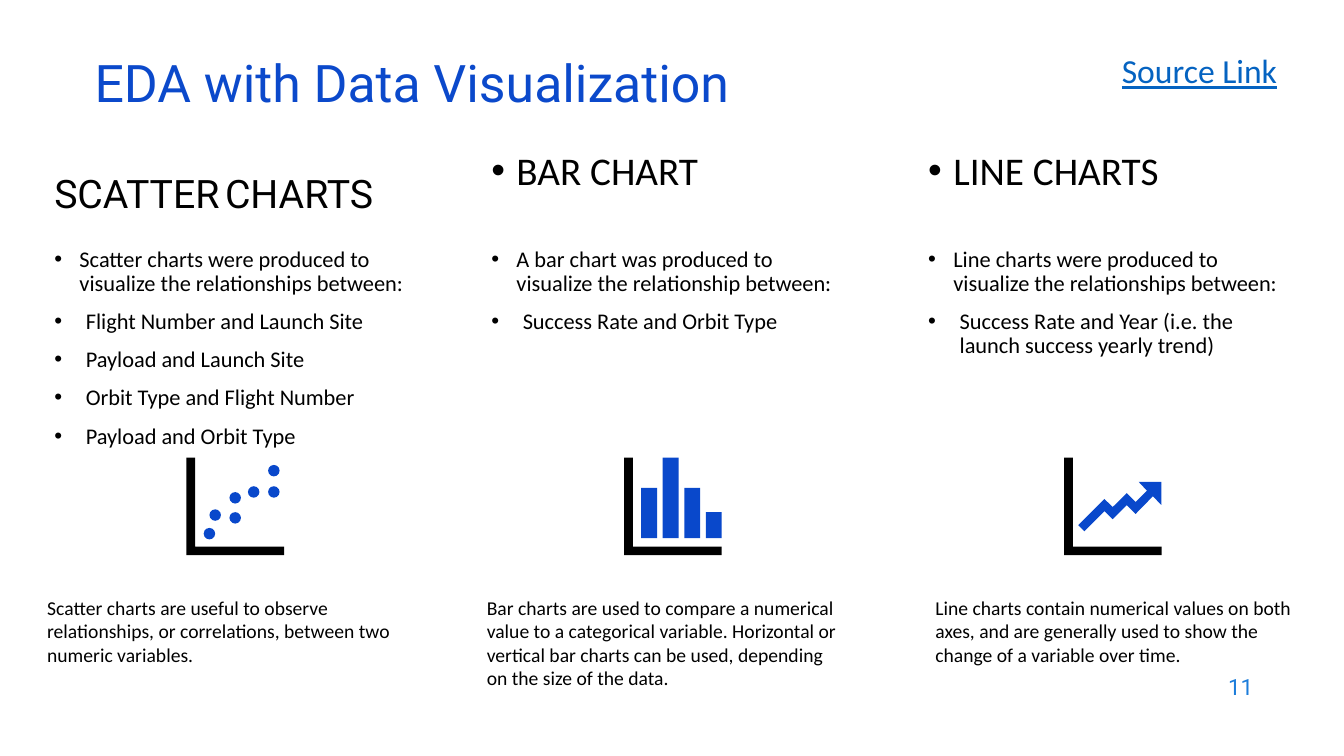
from dataclasses import dataclass

from lxml import etree
from pptx import Presentation
from pptx.dml.color import RGBColor
from pptx.enum import shapes, text
from pptx.oxml.ns import qn
from pptx.util import Pt

BLACK = RGBColor(0x00, 0x00, 0x00)
TITLE_BLUE = RGBColor(0x0B, 0x49, 0xCB)
ICON_BLUE = RGBColor(0x09, 0x48, 0xCB)
LINK_BLUE = RGBColor(0x05, 0x63, 0xC1)
NUMBER_BLUE = RGBColor(0x1C, 0x7D, 0xDB)

COLUMN_LEFT, COLUMN_STEP, COLUMN_WIDTH = 31.7, 312.1, 272.2
ICON_TOP, ICON_SIZE, AXIS_WIDTH = 326.9, 69.7, 6.2
DOT_SIZE = 8.2
DOTS = [(12.3, 50.2), (16.4, 36.9), (30.7, 38.9), (30.7, 24.6),
        (43.9, 20.4), (58.3, 20.4), (58.3, 5.2)]
BAR_LEFT, BAR_STEP, BAR_WIDTH, BAR_BASE = 12.2, 15.4, 11.4, 57.5
BAR_HEIGHTS = [35.9, 57.5, 35.9, 18.6]
TREND_ARROW = [(53.3, 17.3), (59.2, 23.6), (51.1, 31.7), (44.8, 25.3), (34.7, 35.3),
               (28.8, 29.5), (10.1, 48.2), (14.5, 52.6), (28.8, 38.2), (34.7, 44),
               (44.8, 33.9), (51.1, 40.2), (63.4, 27.6), (69.5, 33.8), (69.5, 17.3)]


@dataclass
class Column:
    heading: str
    intro: str
    items: list[str]
    caption: str
    caption_left: float
    icon_left: float


COLUMNS = [
    Column("SCATTER CHARTS",
           "Scatter charts were produced to visualize the relationships between:",
           ["Flight Number and Launch Site", "Payload and Launch Site",
            "Orbit Type and Flight Number", "Payload and Orbit Type"],
           "Scatter charts are useful to observe relationships, or correlations, "
           "between two numeric variables.", 26.6, 133.2),
    Column("BAR CHART",
           "A bar chart was produced to visualize the relationship between:",
           ["Success Rate and Orbit Type"],
           "Bar charts are used to compare a numerical value to a categorical variable. "
           "Horizontal or vertical bar charts can be used, depending on the size of the data.",
           340.6, 445.8),
    Column("LINE CHARTS",
           "Line charts were produced to visualize the relationships between:",
           ["Success Rate and Year (i.e. the launch success yearly trend)"],
           "Line charts contain numerical values on both axes, and are generally used "
           "to show the change of a variable over time.", 661, 760.1),
]


def add_text(s, lines: list[str], left: float, top: float, width: float, height: float,
             size: float, font: str = "Calibri", color: RGBColor = BLACK,
             anchor=text.MSO_ANCHOR.TOP):
    tf = s.shapes.add_textbox(Pt(left), Pt(top), Pt(width), Pt(height)).text_frame
    tf.word_wrap = True
    tf.vertical_anchor = anchor
    tf.text = "\n".join(lines)
    for p in tf.paragraphs:
        for r in p.runs:
            r.font.size, r.font.name = Pt(size), font
            r.font.color.rgb = color
    return tf


def add_bullets(tf) -> None:
    """Bullet every paragraph, with a deeper hanging indent after the first."""
    for i, p in enumerate(tf.paragraphs):
        indent = Pt(22.5 if i else 18)
        pPr = p._p.get_or_add_pPr()
        pPr.set("marL", str(indent))
        pPr.set("indent", str(-indent))
        etree.SubElement(pPr, qn("a:buFont")).set("typeface", "Arial")
        etree.SubElement(pPr, qn("a:buChar")).set("char", "•")
        p.line_spacing = 0.9
        if i:
            p.space_before = Pt(10)


def paint(sp, color: RGBColor) -> None:
    sp.shadow.inherit = False
    sp.fill.solid()
    sp.fill.fore_color.rgb = color
    sp.line.fill.background()


def add_polygon(s, points: list[tuple[float, float]], left: float, color: RGBColor) -> None:
    """Draw a closed outline whose points are relative to an icon's corner."""
    corners = [(Pt(left + x), Pt(ICON_TOP + y)) for x, y in points]
    builder = s.shapes.build_freeform(*corners[0])
    builder.add_line_segments(corners[1:], close=True)
    paint(builder.convert_to_shape(), color)


def add_mark(s, kind, left: float, top: float, width: float, height: float) -> None:
    paint(s.shapes.add_shape(kind, Pt(left), Pt(top), Pt(width), Pt(height)), ICON_BLUE)


def draw_dots(s, left: float) -> None:
    for x, y in DOTS:
        add_mark(s, shapes.MSO_SHAPE.OVAL, left + x, ICON_TOP + y, DOT_SIZE, DOT_SIZE)


def draw_bars(s, left: float) -> None:
    for i, height in enumerate(BAR_HEIGHTS):
        add_mark(s, shapes.MSO_SHAPE.RECTANGLE, left + BAR_LEFT + i * BAR_STEP,
                 ICON_TOP + BAR_BASE - height, BAR_WIDTH, height)


def draw_trend(s, left: float) -> None:
    add_polygon(s, TREND_ARROW, left, ICON_BLUE)


def draw_axes(s, left: float) -> None:
    inner = ICON_SIZE - AXIS_WIDTH
    add_polygon(s, [(AXIS_WIDTH, 0), (0, 0), (0, ICON_SIZE), (ICON_SIZE, ICON_SIZE),
                    (ICON_SIZE, inner), (AXIS_WIDTH, inner)], left, BLACK)


def add_heading(s, column: Column, left: float, plain: bool) -> None:
    """Write a column heading; the plain one is unbulleted with a narrow space."""
    box = (left, 104.4, COLUMN_WIDTH, 66.2, 28)
    if not plain:
        add_bullets(add_text(s, [column.heading], *box))
        return
    first, second = column.heading.split()
    tf = add_text(s, [first], *box, "Roboto", anchor=text.MSO_ANCHOR.MIDDLE)
    for part, size in ((" ", 16), (second, 28)):
        r = tf.paragraphs[0].add_run()
        r.text = part
        r.font.size, r.font.name = Pt(size), "Roboto"
        r.font.color.rgb = BLACK


def main() -> None:
    prs = Presentation()
    prs.slide_width, prs.slide_height = Pt(960), Pt(540)
    s = prs.slides.add_slide(prs.slide_layouts[6])

    title = add_text(s, ["EDA with Data Visualization"], 60.5, 42.5, 828, 43.2, 37,
                     "Roboto", TITLE_BLUE, text.MSO_ANCHOR.MIDDLE)
    title.paragraphs[0].line_spacing = 0.7
    link = add_text(s, ["Source Link"], 794.2, 32.4, 128.9, 36, 24, color=LINK_BLUE)
    link.word_wrap = False
    link.paragraphs[0].runs[0].font.underline = True
    number = add_text(s, ["11"], 686.2, 474.5, 216, 31.7, 16, "Roboto", NUMBER_BLUE,
                      text.MSO_ANCHOR.MIDDLE)
    number.paragraphs[0].alignment = text.PP_ALIGN.RIGHT

    for i, (column, draw_icon) in enumerate(zip(COLUMNS, (draw_dots, draw_bars, draw_trend))):
        left = COLUMN_LEFT + i * COLUMN_STEP
        add_heading(s, column, left, plain=i == 0)
        add_bullets(add_text(s, [column.intro, *column.items],
                             left, 173.5, COLUMN_WIDTH, 321.1, 16))
        draw_axes(s, column.icon_left)
        draw_icon(s, column.icon_left)
        add_text(s, [column.caption], column.caption_left, 421.9, COLUMN_WIDTH, 58.3, 14)

    prs.save("out.pptx")


if __name__ == "__main__":
    main()
